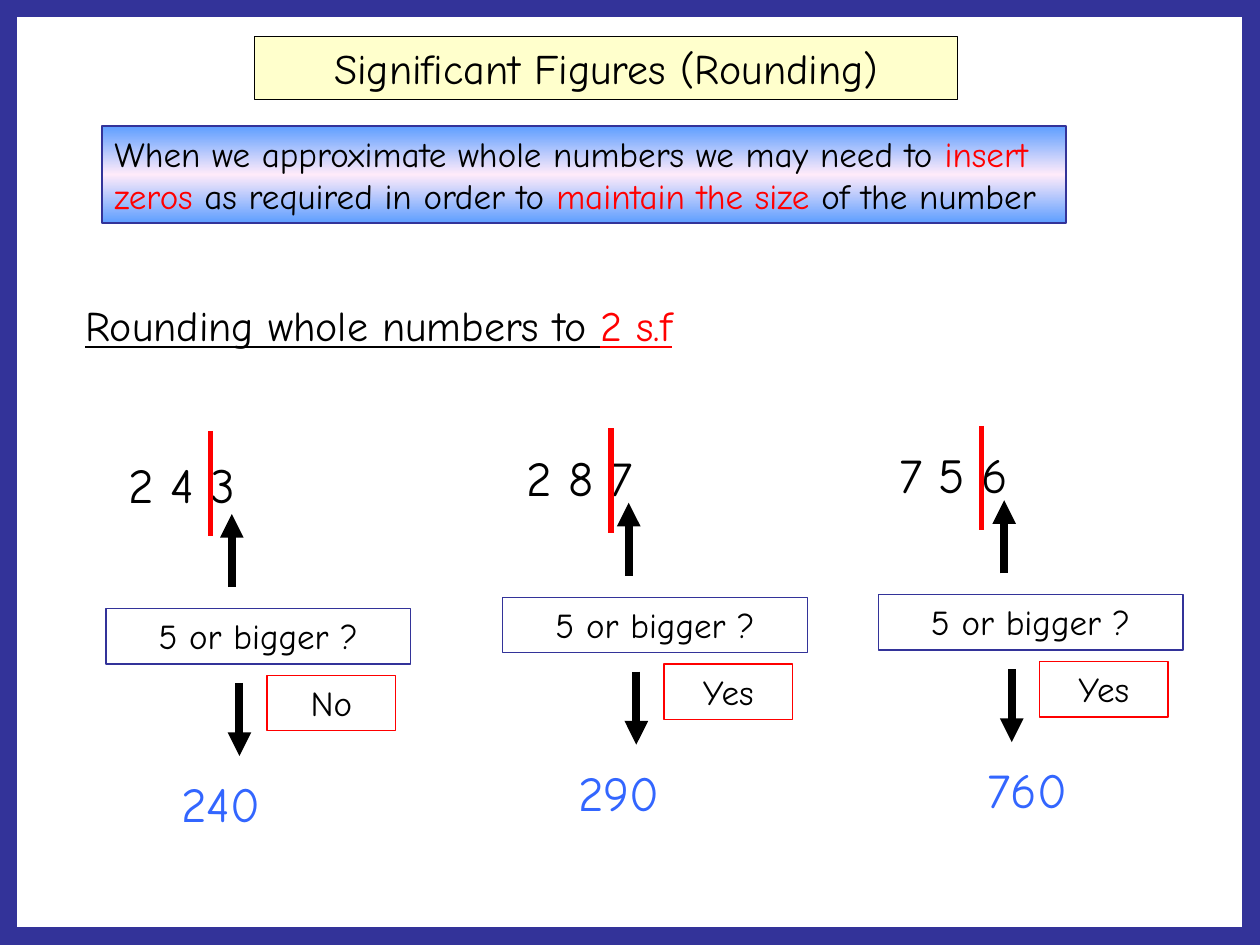
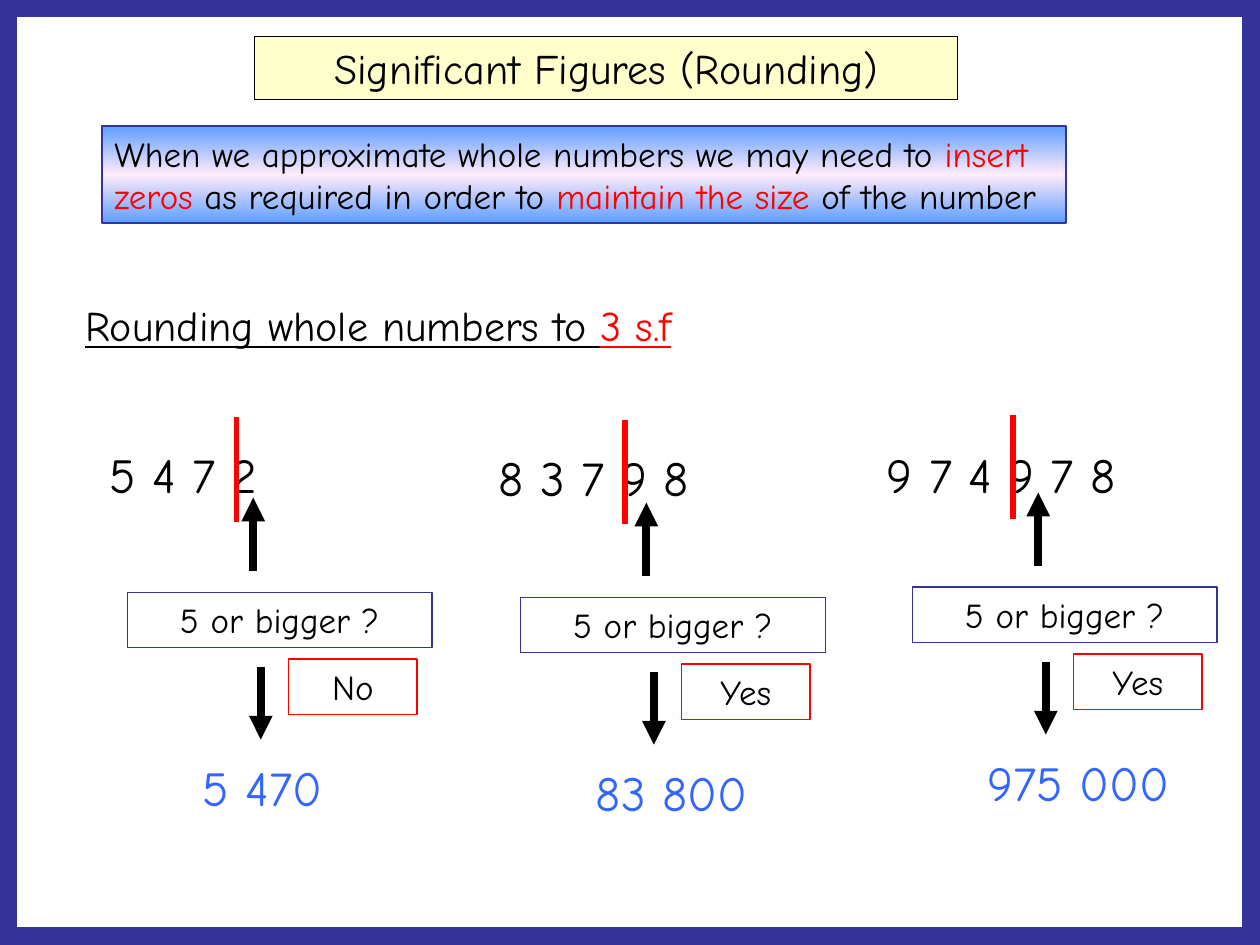
from copy import deepcopy
from dataclasses import dataclass

from lxml.etree import SubElement
from pptx import Presentation
from pptx.dml.color import RGBColor
from pptx.enum.shapes import MSO_CONNECTOR as Connector, MSO_SHAPE as Shape
from pptx.enum.text import MSO_ANCHOR as Anchor, PP_ALIGN as Align
from pptx.oxml.ns import qn
from pptx.util import Inches, Pt


@dataclass(frozen=True)
class Theme:
    font: str = "Comic Neue"
    black: str = "000000"
    red: str = "FF0000"
    navy: str = "333399"
    blue: str = "3366FF"
    cream: str = "FFFFCC"
    gradient: tuple = ("5E9EFF", "FFEBFA", "5E9EFF")
    body_size: int = 20
    heading_size: int = 24
    number_size: int = 28
    thin: float = 0.75
    bar: float = 3
    arrow: float = 4.5
    frame: float = 20


@dataclass(frozen=True)
class Example:
    number: str
    number_at: tuple
    bar_at: tuple
    question_at: tuple
    verdict: str
    answer: str
    number_indent: float = 0
    answer_indent: float = 0.13


THEME = Theme()
EXAMPLES = {
    "2 s.f": [
        Example("2 4 3", (0.92, 3.56), (1.67, 3.42), (0.84, 4.83), "No", "240"),
        Example("2 8 7", (4.08, 3.5), (4.85, 3.4), (3.99, 4.74), "Yes", "290"),
        Example("7 5 6", (7.04, 3.48), (7.79, 3.38), (6.97, 4.72), "Yes", "760",
                answer_indent=0.4),
    ],
    "3 s.f": [
        Example("5 4 7 2", (0.77, 3.48), (1.88, 3.31), (1.01, 4.7), "No", "5 470"),
        Example("8 3 7 9 8", (3.73, 3.5), (4.96, 3.33), (4.13, 4.74), "Yes", "83 800",
                number_indent=0.13),
        Example("9 7 4 9 7 8", (6.94, 3.48), (8.04, 3.29), (7.24, 4.66), "Yes", "975 000"),
    ],
}


def rgb(code):
    return RGBColor.from_string(code)


def write_text(shape, parts, size, align=Align.LEFT, indent=0, underline=None):
    frame = shape.text_frame
    frame.word_wrap = True
    frame.vertical_anchor = Anchor.TOP
    frame.margin_left = Inches(0.1 + indent)
    paragraph = frame.paragraphs[0]
    paragraph.alignment = align
    paragraph.font.name = THEME.font
    paragraph.font.size = Pt(size)
    paragraph.font.underline = underline
    for text, color in parts:
        run = paragraph.add_run()
        run.text = text
        run.font.color.rgb = rgb(color)


def add_label(slide, left, top, width, height, parts, size, indent=0, underline=None):
    label = slide.shapes.add_textbox(*map(Inches, (left, top, width, height)))
    write_text(label, parts, size, indent=indent, underline=underline)


def add_box(slide, left, top, width, height, line_color, line_width=THEME.thin):
    box = slide.shapes.add_shape(Shape.RECTANGLE, *map(Inches, (left, top, width, height)))
    box.shadow.inherit = False
    box.fill.background()
    box.line.color.rgb = rgb(line_color)
    box.line.width = Pt(line_width)
    return box


def add_caption_box(slide, left, top, width, text, line_color):
    box = add_box(slide, left, top, width, 0.44, line_color)
    write_text(box, [(text, THEME.black)], THEME.body_size, Align.CENTER)


def fill_gradient(shape, colors):
    shape.fill.gradient()
    shape.fill.gradient_angle = 90
    stop_list = shape.element.spPr.find(".//" + qn("a:gsLst"))
    stop_list.append(deepcopy(stop_list[0]))
    for index, (stop, color) in enumerate(zip(shape.fill.gradient_stops, colors)):
        stop.color.rgb = rgb(color)
        stop.position = index / (len(colors) - 1)


def add_vertical_line(slide, x, start, end, color, width, arrow=False):
    line = slide.shapes.add_connector(
        Connector.STRAIGHT, Inches(x), Inches(start), Inches(x), Inches(end))
    line.line.color.rgb = rgb(color)
    line.line.width = Pt(width)
    properties = line.element.spPr
    if arrow:
        SubElement(properties.find(qn("a:ln")), qn("a:tailEnd"), type="triangle")
    SubElement(properties, qn("a:effectLst"))


def add_arrow(slide, x, start, end):
    add_vertical_line(slide, x, start, end, THEME.black, THEME.arrow, arrow=True)


def add_header(slide, precision):
    title = add_box(slide, 2.02, 0.29, 5.58, 0.5, THEME.black)
    title.fill.solid()
    title.fill.fore_color.rgb = rgb(THEME.cream)
    write_text(title, [("Significant Figures (Rounding)", THEME.black)],
               THEME.heading_size, Align.CENTER)
    rule = add_box(slide, 0.81, 1, 7.65, 0.77, THEME.navy)
    fill_gradient(rule, THEME.gradient)
    write_text(rule, [
        ("When we approximate whole numbers we may need to ", THEME.black),
        ("insert zeros", THEME.red),
        (" as required in order to ", THEME.black),
        ("maintain the size", THEME.red),
        (" of the number", THEME.black),
    ], THEME.body_size)
    add_label(slide, 0.58, 2.33, 5.52, 0.5,
              [("Rounding whole numbers to ", THEME.black), (precision, THEME.red)],
              THEME.heading_size, underline=True)


def add_example(slide, example):
    add_label(slide, *example.number_at, 2.42, 0.57, [(example.number, THEME.black)],
              THEME.number_size, example.number_indent)
    bar_x, bar_top = example.bar_at
    add_vertical_line(slide, bar_x, bar_top, bar_top + 0.83, THEME.red, THEME.bar)
    left, top = example.question_at
    add_caption_box(slide, left, top, 2.42, "5 or bigger ?", THEME.navy)
    add_arrow(slide, left + 1, top - 0.17, top - 0.75)
    add_arrow(slide, left + 1.06, top + 0.59, top + 1.17)
    add_label(slide, left + 0.37, top + 1.26, 2.1, 0.57, [(example.answer, THEME.blue)],
              THEME.number_size, example.answer_indent)
    add_caption_box(slide, left + 1.28, top + 0.53, 1.02, example.verdict, THEME.red)


def main():
    presentation = Presentation()
    presentation.slide_width = Inches(10)
    presentation.slide_height = Inches(7.5)
    for precision, examples in EXAMPLES.items():
        slide = presentation.slides.add_slide(presentation.slide_layouts[6])
        add_header(slide, precision)
        for example in examples:
            add_example(slide, example)
        add_box(slide, 0, 0, 10, 7.5, THEME.navy, THEME.frame)
    presentation.save("out.pptx")


if __name__ == "__main__":
    main()
